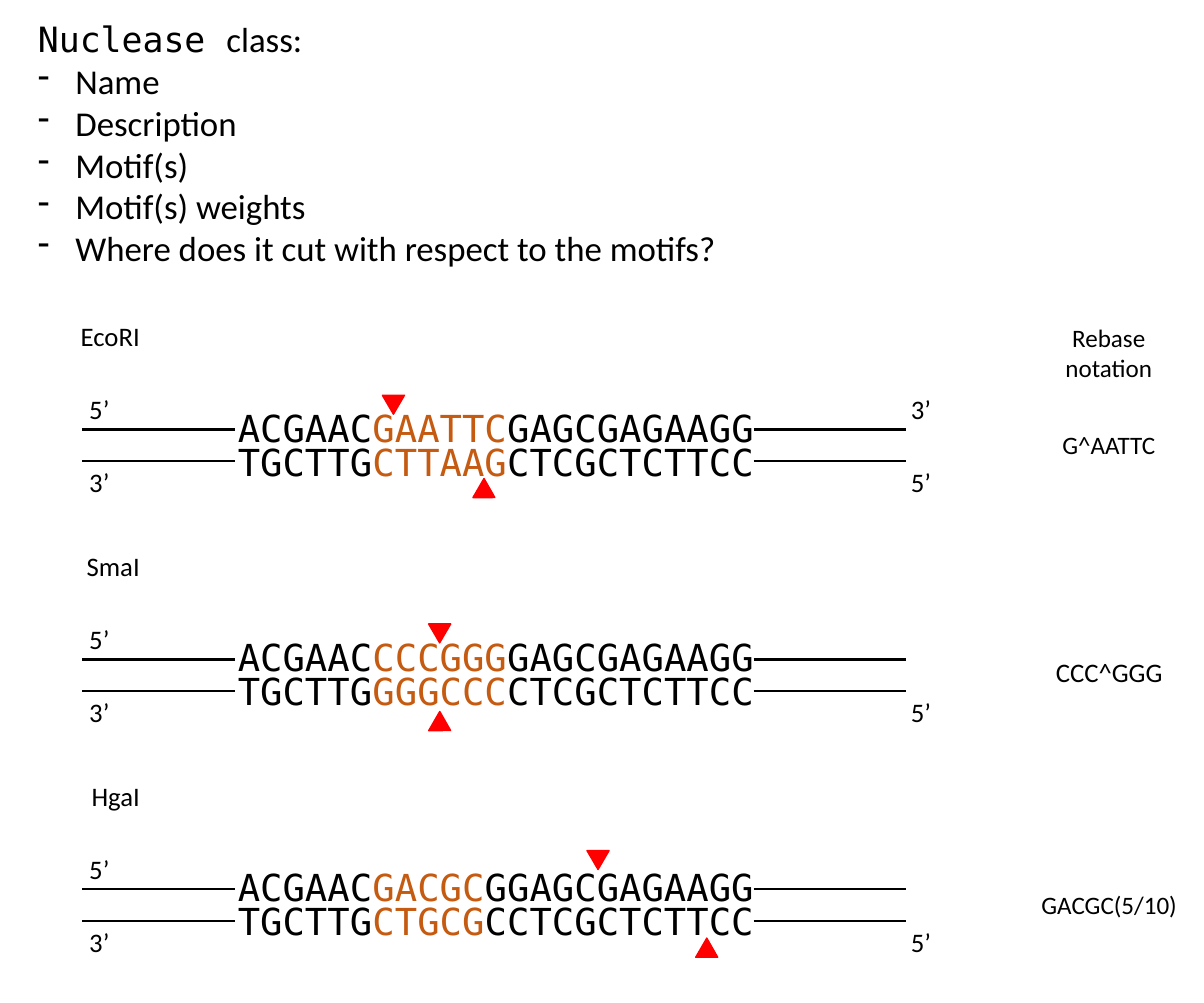
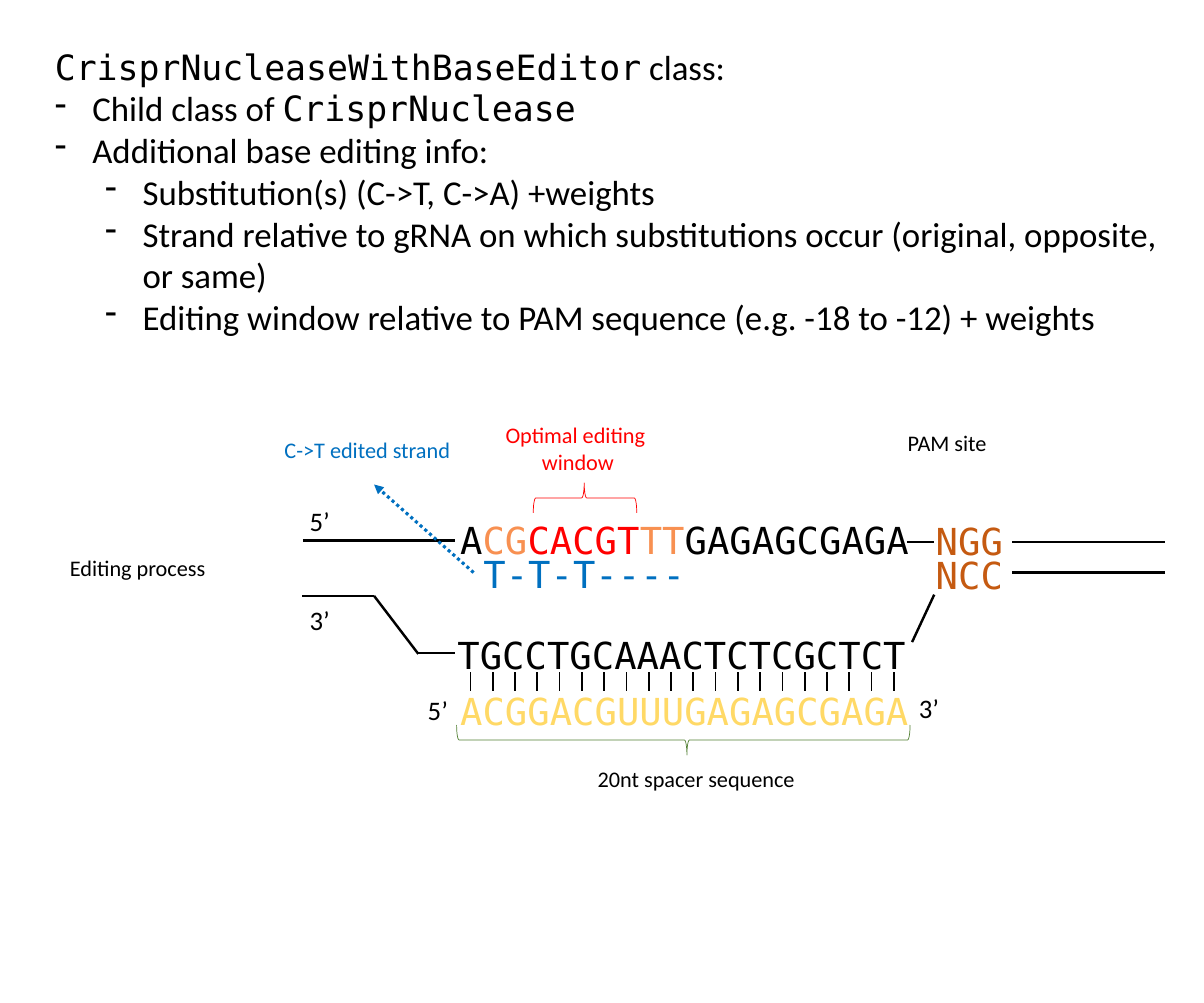
"""Build two slides on nuclease classes and where they cut or edit."""
from lxml import etree
from pptx import Presentation
from pptx import util as u
from pptx.dml.color import RGBColor
from pptx.enum import dml, shapes, text
from pptx.oxml import ns

BLACK = RGBColor(0x00, 0x00, 0x00)
RED = RGBColor(0xFF, 0x00, 0x00)
RUST = RGBColor(0xC5, 0x5A, 0x11)
PEACH = RGBColor(0xF8, 0x90, 0x51)
GOLD = RGBColor(0xFF, 0xD9, 0x66)
GREEN = RGBColor(0x54, 0x82, 0x35)
BLUE = RGBColor(0x00, 0x70, 0xC0)

BODY, CODE = "Calibri", "DejaVu Sans Mono"
HEAD = {"name": BODY, "size": u.Pt(25)}
TERM = {"name": CODE, "size": u.Pt(25)}
BASE = {"name": CODE, "size": u.Pt(26.7)}
TAG = {"name": BODY, "size": u.Pt(19.2)}
NOTE = {"name": BODY, "size": u.Pt(18)}
CAP = {"name": BODY, "size": u.Pt(16)}
LEFT, MID, RIGHT = text.PP_ALIGN.LEFT, text.PP_ALIGN.CENTER, text.PP_ALIGN.RIGHT


def write(page, box, paras, side=LEFT, wrap=True):
    frame = page.shapes.add_textbox(*map(u.Cm, box)).text_frame
    form = {"word_wrap": wrap, "auto_size": text.MSO_AUTO_SIZE.SHAPE_TO_FIT_TEXT}
    for key, val in form.items():
        setattr(frame, key, val)
    for i, runs in enumerate(paras):
        para = frame.add_paragraph() if i else frame.paragraphs[0]
        para.alignment = side
        for words, ink, look in runs:
            run = para.add_run()
            run.text = words
            run.font.color.rgb = ink
            for key, val in look.items():
                setattr(run.font, key, val)
    return frame


def draw(host, ends, width=1.75, ink=BLACK):
    wire = host.shapes.add_connector(shapes.MSO_CONNECTOR.STRAIGHT, *map(u.Cm, ends))
    wire.line.width = u.Pt(width)
    wire.line.color.rgb = ink
    etree.SubElement(wire._element.spPr, ns.qn("a:effectLst"))
    return wire


deck = Presentation()
deck.slide_width, deck.slide_height = u.Cm(30.48), u.Cm(25.4)
cuts, edits = [deck.slides.add_slide(deck.slide_layouts[6]) for _ in range(2)]

lists = [
    (cuts, (0.71, 0.33, 28.73, 7.75), [
        (0, [("Nuclease ", TERM), ("class:", HEAD)]),
        (1, [("Name", HEAD)]),
        (1, [("Description", HEAD)]),
        (1, [("Motif(s)", HEAD)]),
        (1, [("Motif(s) weights", HEAD)]),
        (1, [("Where does it cut with respect to the motifs?", HEAD)]),
    ]),
    (edits, (1.14, 1.02, 29.34, 7.75), [
        (0, [("CrisprNucleaseWithBaseEditor", TERM), (" class:", HEAD)]),
        (1, [("Child class of ", HEAD), ("CrisprNuclease", TERM)]),
        (1, [("Additional base editing info:", HEAD)]),
        (2, [("Substitution(s) (C->T, C->A) +weights", HEAD)]),
        (2, [("Strand relative to gRNA on which substitutions occur "
              "(original, opposite, or same)", HEAD)]),
        (2, [("Editing window relative to PAM sequence (e.g. -18 to -12) + weights", HEAD)]),
    ]),
]
for page, box, items in lists:
    paras = [[(words, BLACK, look) for words, look in runs] for _, runs in items]
    frame = write(page, box, paras)
    for para, (depth, _) in zip(frame.paragraphs, items):
        if depth:
            para.level = depth - 1
            props = para._p.get_or_add_pPr()
            props.set("marL", str(u.Cm(0.95 + 1.27 * (depth - 1))))
            props.set("indent", str(-u.Cm(0.95)))
            etree.SubElement(props, ns.qn("a:buFontTx"))
            etree.SubElement(props, ns.qn("a:buChar")).set("char", "-")

write(cuts, (26.7, 8.03, 2.74, 1.8),
      [[("Rebase", BLACK, NOTE)], [("notation", BLACK, NOTE)]], MID, False)
pairs = str.maketrans("ACGT", "TGCA")
sites = [
    ("EcoRI", "GAATTC", "GAGCGAGAAGG", (9.68, 10.01), (12.04, 12.24),
     "G^AATTC", (26.62, 10.74, 2.9, 1.02), NOTE),
    ("SmaI", "CCCGGG", "GAGCGAGAAGG", (10.85, 15.8), (10.92, 18.14),
     "CCC^GGG", (25.68, 16.48, 4.8, 1.07), TAG),
    ("HgaI", "GACGC", "GGAGCGAGAAGG", (14.86, 21.54), (17.68, 23.88),
     "GACGC(5/10)", (26.01, 22.4, 4.14, 1.02), NOTE),
]
for i, (name, motif, rest, upper, lower, code, box, look) in enumerate(sites):
    top = 10.13 + 5.82 * i
    strand = [("ACGAAC", BLACK, BASE), (motif, RUST, BASE), (rest, BLACK, BASE)]
    mate = [(part.translate(pairs), ink, font) for part, ink, font in strand]
    write(cuts, (5.77, top, 19.84, 1.4), [strand])
    write(cuts, (5.77, top + 0.86, 19.84, 1.4), [mate])
    for start, end in ((2.08, 5.94), (19.08, 22.94)):
        for drop in (0.75, 1.55):
            draw(cuts, (start, top + drop, end, top + drop))
    tags = [("5’", 2.01, -0.3), ("3’", 2.01, 1.55), ("5’", 22.81, 1.55)]
    if i == 0:
        tags.append(("3’", 22.81, -0.32))
    for words, x, drop in tags:
        write(cuts, (x, top + drop, 3, 1.07), [[(words, BLACK, TAG)]])
    write(cuts, (0.79, top - 2.15, 3, 1.07), [[(name, BLACK, TAG)]], RIGHT)
    write(cuts, box, [[(code, BLACK, look)]], MID, look is TAG)
    for spot, turn in ((upper, 180), (lower, 120.1)):
        mark = cuts.shapes.add_shape(shapes.MSO_SHAPE.ISOSCELES_TRIANGLE,
                                     *map(u.Cm, (*spot, 0.56, 0.48)))
        mark.rotation = turn
        mark.shadow.inherit = False
        mark.fill.solid()
        mark.fill.fore_color.rgb = mark.line.color.rgb = RED
        mark.line.width = u.Pt(1)

strands = [
    (11.4, 17.3, 19.84, [("ACGGACGUUUGAGAGCGAGA", GOLD)], LEFT),
    (11.4, 12.98, 19.84, [("A", BLACK), ("CG", PEACH), ("CACGT", RED), ("TT", PEACH),
                          ("GAGAGCGAGA", BLACK)], LEFT),
    (11.33, 15.9, 19.84, [("TGCCTGCAAACTCTCGCTCT", BLACK)], LEFT),
    (23.44, 13, 2.62, [("NGG", RUST)], LEFT),
    (23.44, 13.87, 2.62, [("NCC", RUST)], LEFT),
    (11.38, 13.84, 6.83, [("T-T-T----", BLUE)], MID),
]
for x, y, wide, parts, side in strands:
    write(edits, (x, y, wide, 1.4), [[(part, ink, BASE) for part, ink in parts]], side)

notes = [
    ((22.73, 10.74, 4.7, 0.94), ["PAM site"], BLACK, CAP, LEFT),
    ((10.64, 10.54, 7.98, 1.63), ["Optimal editing ", "window"], RED, CAP, MID),
    ((11.07, 19.25, 13.11, 0.94), ["20nt spacer sequence"], BLACK, CAP, MID),
    ((5.31, 10.92, 7.98, 0.94), ["C->T edited strand"], BLUE, CAP, MID),
    ((1.52, 13.92, 4.7, 0.94), ["Editing process"], BLACK, CAP, LEFT),
    ((7.59, 12.65, 3, 1.07), ["5’"], BLACK, TAG, LEFT),
    ((7.59, 15.16, 3, 1.07), ["3’"], BLACK, TAG, LEFT),
    ((8.59, 17.45, 3, 1.07), ["5’"], BLACK, TAG, RIGHT),
    ((23.01, 17.4, 3, 1.07), ["3’"], BLACK, TAG, LEFT),
]
for box, rows, ink, look, side in notes:
    write(edits, box, [[(row, ink, look)] for row in rows], side)

wires = [
    (7.67, 13.69, 11.53, 13.69), (10.57, 16.54, 11.51, 16.54),
    (25.63, 13.72, 29.49, 13.72), (25.63, 14.5, 29.49, 14.5),
    (23.09, 16.26, 23.65, 15.06), (22.96, 13.72, 23.65, 13.72),
    (9.47, 15.09, 10.59, 16.56), (7.65, 15.09, 9.47, 15.09),
]
for ends in wires:
    draw(edits, ends)

bonds = edits.shapes.add_group_shape()
for i in range(20):
    x = 11.91 + 10.72 * i / 19
    draw(bonds, (x, 17.02, x, 17.5), 1.25)

for box, turn, ink in (((16.92, 13, 0.76, 11.48), 270, GREEN),
                       ((14.43, 11.3, 0.76, 2.62), 90, RED)):
    brace = edits.shapes.add_shape(shapes.MSO_SHAPE.LEFT_BRACE, *map(u.Cm, box))
    brace.rotation = turn
    brace.adjustments[0], brace.adjustments[1] = 0.083, 0.508
    brace.shadow.inherit = False
    brace.fill.background()
    brace.line.color.rgb = ink
    brace.line.width = u.Pt(0.5)

arrow = draw(edits, (11.99, 14.5, 9.47, 12.27), 2.25, BLUE)
arrow.line.dash_style = dml.MSO_LINE.ROUND_DOT
etree.SubElement(arrow.line._get_or_add_ln(), ns.qn("a:tailEnd")).set("type", "triangle")

deck.save("out.pptx")
